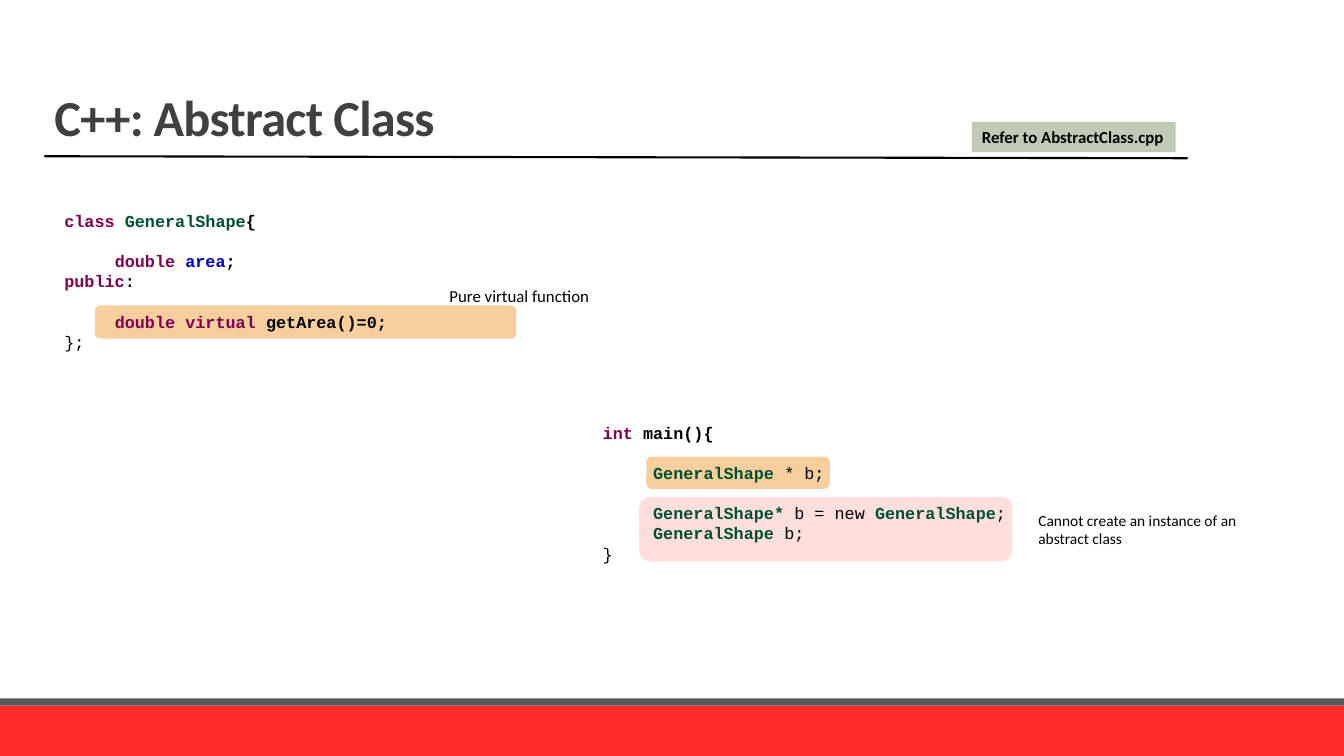
from dataclasses import dataclass

from lxml.etree import SubElement
from pptx import Presentation
from pptx.dml.color import RGBColor
from pptx.enum.shapes import MSO_CONNECTOR, MSO_SHAPE
from pptx.enum.text import MSO_ANCHOR, MSO_AUTO_SIZE, PP_ALIGN
from pptx.oxml.ns import qn
from pptx.util import Inches, Pt


@dataclass(frozen=True)
class Theme:
    body_font: str = "Calibri"
    code_font: str = "Courier New"
    title_size: float = 36
    text_size: float = 12
    remark_size: float = 11
    code_pitch: float = 14.4
    title: str = "404040"
    ink: str = "000000"
    keyword: str = "7F0055"
    type_name: str = "005032"
    field: str = "0000C0"
    band: str = "FF2929"
    band_edge: str = "595959"
    tag: str = "C1CAB6"
    highlight: str = "F7CE9D"
    error: str = "FF0000"


THEME = Theme()


def format_font(font, face, size, color, bold=False):
    font.name, font.size, font.bold = face, Pt(size), bold
    font.color.rgb = RGBColor.from_string(color)


def add_block(slide, kind, box, fill, opacity=None):
    block = slide.shapes.add_shape(kind, *map(Inches, box))
    block.shadow.inherit = False
    block.fill.solid()
    block.fill.fore_color.rgb = RGBColor.from_string(fill)
    block.line.fill.background()
    if opacity is not None:
        color = block.fill._xPr.find(qn("a:solidFill"))[0]
        SubElement(color, qn("a:alpha"), val=str(opacity * 1000))
    return block


def write_label(shape, text, size, bold=False):
    frame = shape.text_frame
    frame.text = text
    frame.word_wrap = False
    frame.auto_size = MSO_AUTO_SIZE.SHAPE_TO_FIT_TEXT
    frame.vertical_anchor = MSO_ANCHOR.TOP
    for line in frame.paragraphs:
        line.alignment = PP_ALIGN.LEFT
        for run in line.runs:
            format_font(run.font, THEME.body_font, size, THEME.ink, bold)


def add_note(slide, box, text, size):
    write_label(slide.shapes.add_textbox(*map(Inches, box)), text, size)


def add_code(slide, box, lines):
    """Each line is (level, blank lines above, tokens of text, color, bold)."""
    frame = slide.shapes.add_textbox(*map(Inches, box)).text_frame
    frame.word_wrap = True
    for number, (level, blanks, tokens) in enumerate(lines):
        line = frame.add_paragraph() if number else frame.paragraphs[0]
        line.level = level
        line.line_spacing = Pt(THEME.code_pitch)
        if blanks:
            line.space_before = Pt(blanks * THEME.code_pitch)
        properties = line._p.get_or_add_pPr()
        properties.set("marL", str(Inches(0.5 * level)))
        properties.set("indent", "0")
        for text, color, bold in tokens:
            run = line.add_run()
            run.text = text
            format_font(run.font, THEME.code_font, THEME.text_size, color, bold)


def add_footer(slide, left, top, width, height):
    edge = 0.07
    add_block(slide, MSO_SHAPE.RECTANGLE, (left, top + edge, width, height - edge), THEME.band)
    add_block(slide, MSO_SHAPE.RECTANGLE, (left, top, width, edge), THEME.band_edge)


def add_header(slide, left, top, width, height):
    # Title
    title = slide.shapes.title
    title.left, title.top, title.width, title.height = map(Inches, (left, top, width, height))
    frame = title.text_frame
    frame.text = "C++: Abstract Class"
    frame.vertical_anchor = MSO_ANCHOR.BOTTOM
    frame.auto_size = MSO_AUTO_SIZE.NONE
    heading = frame.paragraphs[0]
    heading.alignment = PP_ALIGN.LEFT
    heading.line_spacing = 0.85
    run = heading.runs[0]
    format_font(run.font, THEME.body_font, THEME.title_size, THEME.title, bold=True)
    run._r.get_or_add_rPr().set("spc", "-50")

    # Rule under the title
    bottom = top + height
    ends = (left, bottom + 0.04, left + width + 0.01, bottom + 0.06)
    rule = slide.shapes.add_connector(MSO_CONNECTOR.STRAIGHT, *map(Inches, ends))
    rule.line.color.rgb = RGBColor.from_string(THEME.ink)
    rule.line.width = Pt(1.5)
    SubElement(rule._element.spPr, qn("a:effectLst"))

    # File reference
    tag_box = (left + 9.2, bottom - 0.3, 2.02, 0.3)
    reference = add_block(slide, MSO_SHAPE.RECTANGLE, tag_box, THEME.tag)
    write_label(reference, "Refer to AbstractClass.cpp", THEME.text_size, bold=True)


def add_class_listing(slide, left, top, width, height):
    virtual_box = (left + 0.4, top + 0.99, 4.18, 0.33)
    add_block(slide, MSO_SHAPE.DOUBLE_BRACKET, virtual_box, THEME.highlight)
    add_note(slide, (left + 3.82, top + 0.75, 1.6, 0.3), "Pure virtual function", THEME.text_size)
    add_code(slide, (left, top, width, height), [
        (0, 0, [("class ", THEME.keyword, True), ("GeneralShape", THEME.type_name, True),
                ("{", THEME.ink, True)]),
        (0, 1, [("\tdouble ", THEME.keyword, True), ("area", THEME.field, True),
                (";", THEME.ink, True)]),
        (0, 0, [("public", THEME.keyword, True), (":", THEME.ink, True)]),
        (0, 1, [("\tdouble virtual ", THEME.keyword, True), ("getArea()=0;", THEME.ink, True)]),
        (0, 0, [("};", THEME.ink, False)]),
    ])


def add_main_listing(slide, left, top, width, height):
    error_box = (left + 0.46, top + 0.79, 3.7, 0.64)
    pointer_box = (left + 0.53, top + 0.39, 1.82, 0.32)
    add_block(slide, MSO_SHAPE.DOUBLE_BRACKET, error_box, THEME.error, opacity=13)
    add_block(slide, MSO_SHAPE.DOUBLE_BRACKET, pointer_box, THEME.highlight)
    add_code(slide, (left, top, width, height), [
        (0, 0, [("int", THEME.keyword, True), (" main(){", THEME.ink, True)]),
        (1, 1, [("GeneralShape ", THEME.type_name, True), ("* b;", THEME.ink, False)]),
        (1, 1, [("GeneralShape* ", THEME.type_name, True), ("b = new ", THEME.ink, False),
                ("GeneralShape", THEME.type_name, True), (";", THEME.ink, False)]),
        (1, 0, [("GeneralShape ", THEME.type_name, True), ("b;", THEME.ink, False)]),
        (0, 0, [("}", THEME.ink, False)]),
    ])
    add_note(slide, (left + 4.32, top + 0.88, 2.18, 0.47),
             "Cannot create an instance of an\nabstract class", THEME.remark_size)


def main():
    deck = Presentation()
    deck.slide_width, deck.slide_height = Inches(13.33), Inches(7.5)
    slide = deck.slides.add_slide(deck.slide_layouts.get_by_name("Title Only"))
    add_footer(slide, 0, 6.93, 13.33, 0.57)
    add_header(slide, 0.44, 0, 11.33, 1.51)
    add_class_listing(slide, 0.54, 2.04, 6.67, 1.51)
    add_main_listing(slide, 5.88, 4.14, 6.67, 1.51)
    deck.save("out.pptx")


if __name__ == "__main__":
    main()
